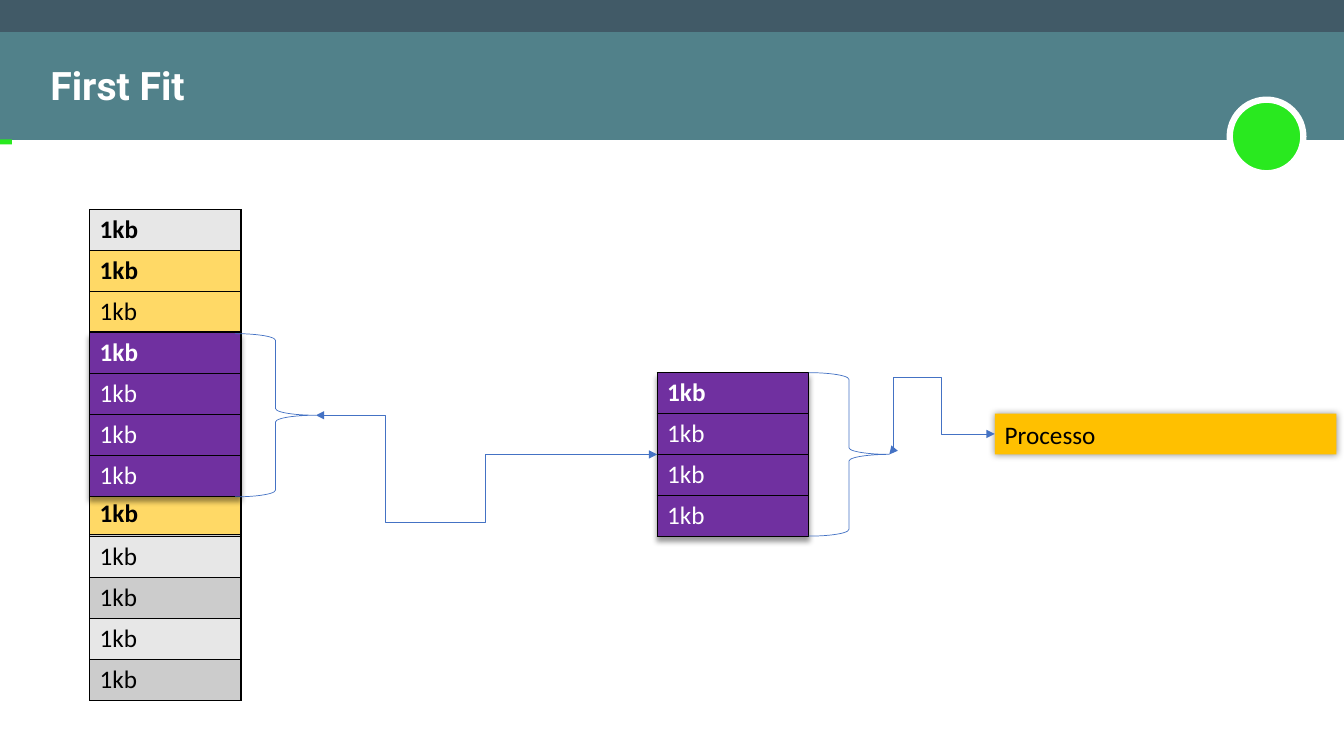
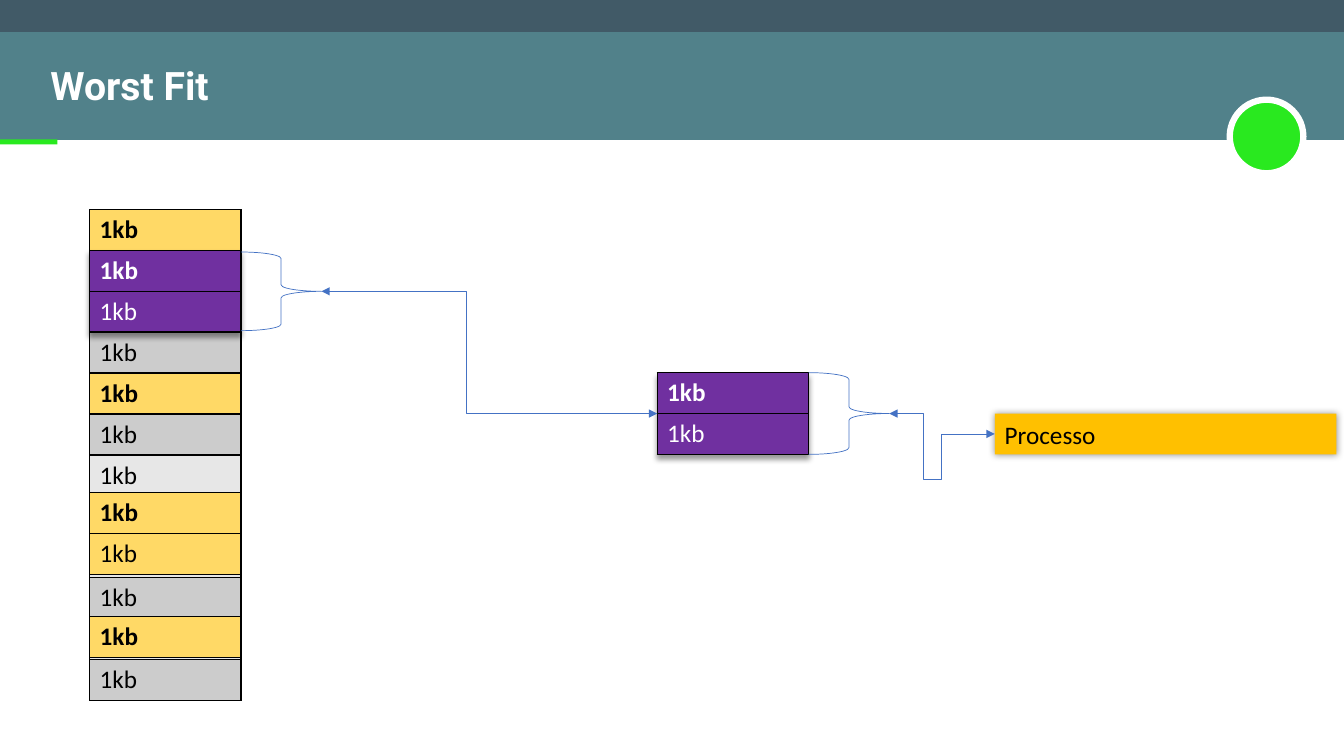
from dataclasses import dataclass

import pptx
import pptx.dml.color
import pptx.enum.shapes
import pptx.enum.text
import pptx.oxml
import pptx.oxml.ns
import pptx.util

Pt = pptx.util.Pt
qn = pptx.oxml.ns.qn
SHAPE = pptx.enum.shapes.MSO_SHAPE
MIDDLE = pptx.enum.text.MSO_ANCHOR.MIDDLE
LEFT = pptx.enum.text.PP_ALIGN.LEFT

COLORS = {
    "top_band": "415A67", "title_band": "51818A", "accent": "29E91F",
    "white": "FFFFFF", "black": "000000", "light": "E7E7E7", "gray": "CCCCCC",
    "used": "FFD966", "request": "7030A0", "process": "FFC000", "link": "4472C4",
}
CELL_WIDTH, CELL_HEIGHT = 108.2, 29.2
MEMORY_LEFT, MEMORY_TOP, MEMORY_CELLS = 64, 149.8, 12
REQUEST_LEFT, REQUEST_TOP = 469.4, 266.2
BRACE_WIDTH = 57.6


@dataclass(frozen=True)
class Block:
    """A run of occupied memory cells."""
    top: float
    cells: int


@dataclass(frozen=True)
class Brace:
    left: float
    top: float
    height: float


@dataclass(frozen=True)
class Strategy:
    """One slide; the turns are the x, y, x where a connector bends."""
    title: str
    progress: float
    used: tuple[Block, ...]
    allocated: Block
    memory_brace: Brace
    process_turns: tuple[float, ...]
    memory_turns: tuple[float, ...]


STRATEGIES = (
    Strategy("First Fit", 8.6, (Block(178.8, 2), Block(352.8, 1)),
             Block(237.6, 4), Brace(168, 238.3, 116.6),
             (672.5, 269.3, 637.9), (347, 373, 275)),
    Strategy("Worst Fit", 41,
             (Block(352, 2), Block(440.6, 1), Block(149.8, 1), Block(266.4, 1)),
             Block(178.8, 2), Brace(172, 180, 56.2),
             (672.5, 342.7, 659.5), (333.5,)),
)


def color(name: str) -> pptx.dml.color.RGBColor:
    return pptx.dml.color.RGBColor.from_string(COLORS[name])


def effects(shadow: str = ""):
    return pptx.oxml.parse_xml(
        f'<a:effectLst xmlns:a="{pptx.oxml.ns.nsdecls("a").split(chr(34))[1]}">{shadow}</a:effectLst>')


def outer_shadow(blur: float, distance: float):
    return effects(
        f'<a:outerShdw blurRad="{Pt(blur)}" dist="{Pt(distance)}" dir="5400000" rotWithShape="0">'
        f'<a:srgbClr val="{COLORS["black"]}"><a:alpha val="40000"/></a:srgbClr></a:outerShdw>')


def add_filled(slide, kind, left: float, top: float, width: float, height: float, fill: str):
    shape = slide.shapes.add_shape(kind, Pt(left), Pt(top), Pt(width), Pt(height))
    shape.shadow.inherit = False
    shape.fill.solid()
    shape.fill.fore_color.rgb = color(fill)
    shape.line.fill.background()
    return shape


def add_frame(slide, title: str, progress: float) -> None:
    """Draw the bands, circle, title and progress mark."""
    add_filled(slide, SHAPE.RECTANGLE, 0, 0, 960, 23, "top_band")
    add_filled(slide, SHAPE.RECTANGLE, 0, 23, 960, 77, "title_band")
    circle = add_filled(slide, SHAPE.OVAL, 878.4, 71.2, 52.6, 52.6, "accent")
    circle.line.color.rgb = color("white")
    circle.line.width = Pt(4.5)
    add_filled(slide, SHAPE.RECTANGLE, 0, 99.6, progress, 3.6, "accent")

    heading = slide.shapes.title
    heading.left, heading.top, heading.width, heading.height = Pt(28.8), Pt(40.3), Pt(440), Pt(41.2)
    heading.text_frame.text = title
    heading.text_frame.auto_size = pptx.enum.text.MSO_AUTO_SIZE.SHAPE_TO_FIT_TEXT
    heading.text_frame.vertical_anchor = MIDDLE
    paragraph = heading.text_frame.paragraphs[0]
    paragraph.alignment = LEFT
    style_text(paragraph, "Roboto", 28, "white", True)
    slide.shapes._spTree.append(heading._element)


def style_text(paragraph, family: str, size: float, ink: str, bold: bool = False) -> None:
    font = paragraph.font
    font.name, font.size, font.bold = family, Pt(size), bold
    font.color.rgb = color(ink)


def add_borders(cell) -> None:
    properties = cell._tc.get_or_add_tcPr()
    for position, side in enumerate(("lnL", "lnR", "lnT", "lnB")):
        border = properties.makeelement(qn(f"a:{side}"), {"w": str(Pt(1))})
        solid = pptx.oxml.ns.qn("a:solidFill")
        ink = border.makeelement(solid, {})
        ink.append(ink.makeelement(qn("a:srgbClr"), {"val": COLORS["black"]}))
        border.append(ink)
        properties.insert(position, border)


def add_cells(slide, left: float, top: float, count: int, fills: tuple[str, ...],
              ink: str = "black", shadow: bool = False):
    """Stack 1kb cells, cycling through the fills."""
    frame = slide.shapes.add_table(count, 1, Pt(left), Pt(top),
                                   Pt(CELL_WIDTH), Pt(CELL_HEIGHT * count))
    table = frame.table
    table.horz_banding = False
    for index, row in enumerate(table.rows):
        row.height = Pt(CELL_HEIGHT)
        cell = row.cells[0]
        cell.text = "1kb"
        style_text(cell.text_frame.paragraphs[0], "Calibri", 18, ink, index == 0)
        cell.fill.solid()
        cell.fill.fore_color.rgb = color(fills[index % len(fills)])
        add_borders(cell)
    if shadow:
        table._tbl.tblPr.insert(0, outer_shadow(4, 3))
    return frame


def add_brace(slide, brace: Brace):
    shape = slide.shapes.add_shape(SHAPE.RIGHT_BRACE, Pt(brace.left), Pt(brace.top),
                                   Pt(BRACE_WIDTH), Pt(brace.height))
    shape.shadow.inherit = False
    shape.fill.background()
    shape.line.color.rgb = color("link")
    shape.line.width = Pt(0.5)
    return shape


def add_process(slide):
    process = add_filled(slide, SHAPE.RECTANGLE, 710.6, 295.4, 244, 29.1, "process")
    properties = process._element.spPr
    properties.replace(properties.find(qn("a:effectLst")), outer_shadow(5, 0))
    process.text_frame.text = "Processo"
    process.text_frame.vertical_anchor = MIDDLE
    paragraph = process.text_frame.paragraphs[0]
    paragraph.alignment = LEFT
    style_text(paragraph, "Calibri", 18, "black")
    return process


def link_to_brace(slide, target, brace, turns: tuple[float, ...]) -> None:
    """Run a bent, two-headed connector from the target's left side to the brace's tip."""
    start_x, start_y = target.left, target.top + target.height // 2
    tip_x, tip_y = brace.left + brace.width, brace.top + brace.height // 2
    link = slide.shapes.add_connector(pptx.enum.shapes.MSO_CONNECTOR.ELBOW,
                                      start_x, start_y, tip_x, tip_y)
    link.begin_connect(target, 1)
    link.end_connect(brace, 1)
    link.end_x, link.end_y = tip_x, tip_y
    link.line.color.rgb = color("link")
    link.line.width = Pt(0.5)

    properties = link._element.spPr
    properties.append(effects())
    for end in ("headEnd", "tailEnd"):
        outline = link.line._get_or_add_ln()
        outline.append(outline.makeelement(qn(f"a:{end}"), {"type": "triangle"}))

    # A half turn stands in for the horizontal flip.
    transform = properties.find(qn("a:xfrm"))
    transform.attrib.pop("flipH", None)
    transform.attrib.pop("flipV", None)
    transform.set("rot", "10800000")
    if tip_y > start_y:
        transform.set("flipV", "1")

    geometry = properties.find(qn("a:prstGeom"))
    geometry.set("prst", f"bentConnector{len(turns) + 2}")
    guides = geometry.find(qn("a:avLst"))
    for index, turn in enumerate(turns):
        start, end = (start_y, tip_y) if index == 1 else (start_x, tip_x)
        share = round((Pt(turn) - start) / (end - start) * 100000)
        guides.append(guides.makeelement(
            qn("a:gd"), {"name": f"adj{index + 1}", "fmla": f"val {share}"}))


def add_strategy(deck, strategy: Strategy) -> None:
    slide = deck.slides.add_slide(deck.slide_layouts[5])
    add_frame(slide, strategy.title, strategy.progress)
    allocated = strategy.allocated

    add_cells(slide, MEMORY_LEFT, MEMORY_TOP, MEMORY_CELLS, ("light", "gray"))
    request = add_cells(slide, REQUEST_LEFT, REQUEST_TOP, allocated.cells,
                        ("request",), "white", True)
    for block in strategy.used:
        add_cells(slide, MEMORY_LEFT, block.top, block.cells, ("used",))
    request_brace = add_brace(slide, Brace(REQUEST_LEFT + CELL_WIDTH, REQUEST_TOP,
                                           CELL_HEIGHT * allocated.cells))
    process = add_process(slide)
    link_to_brace(slide, process, request_brace, strategy.process_turns)

    add_cells(slide, MEMORY_LEFT, allocated.top, allocated.cells, ("request",), "white", True)
    memory_brace = add_brace(slide, strategy.memory_brace)
    link_to_brace(slide, request, memory_brace, strategy.memory_turns)


def main() -> None:
    deck = pptx.Presentation()
    deck.slide_width, deck.slide_height = Pt(960), Pt(540)
    for strategy in STRATEGIES:
        add_strategy(deck, strategy)
    deck.save("out.pptx")


if __name__ == "__main__":
    main()
